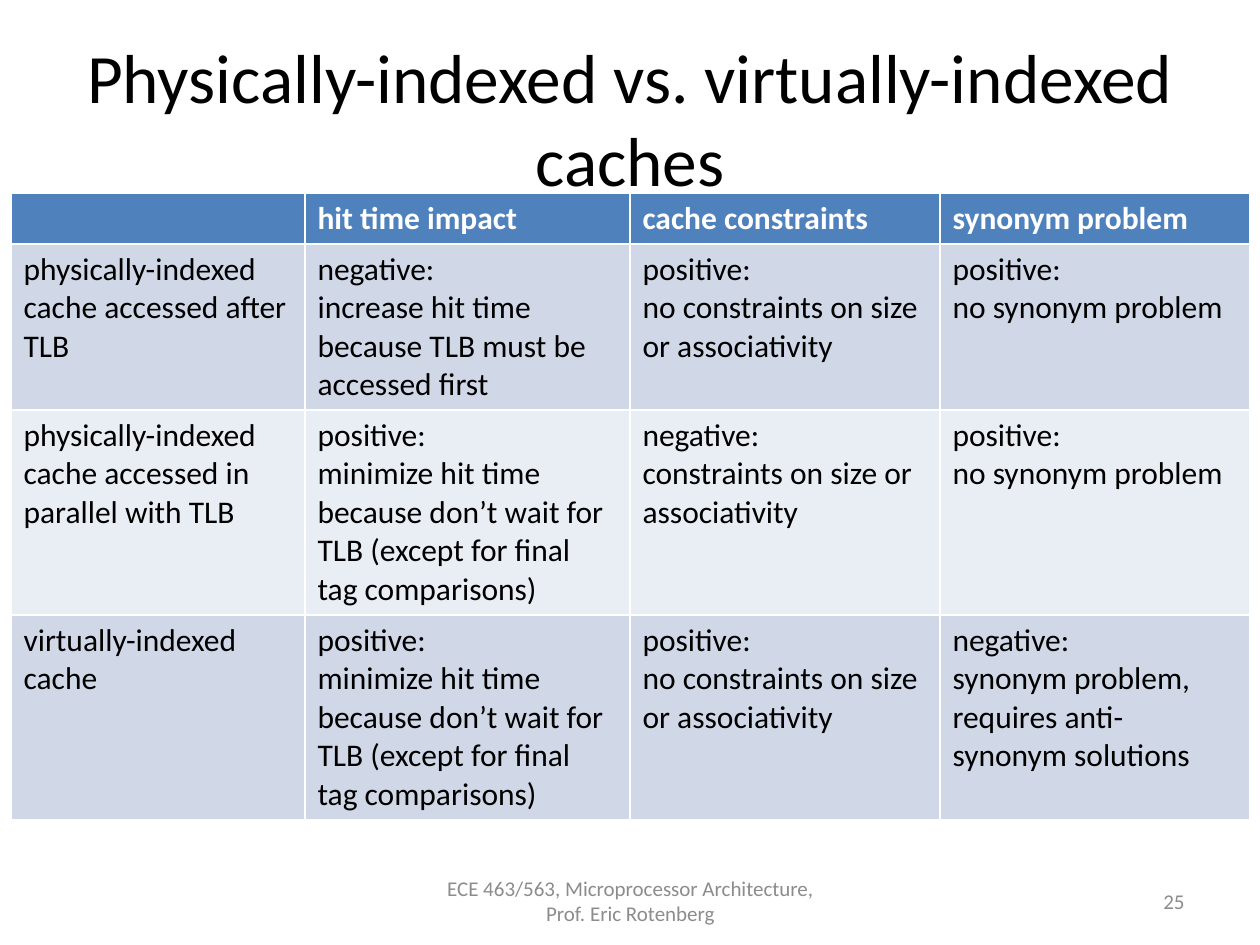
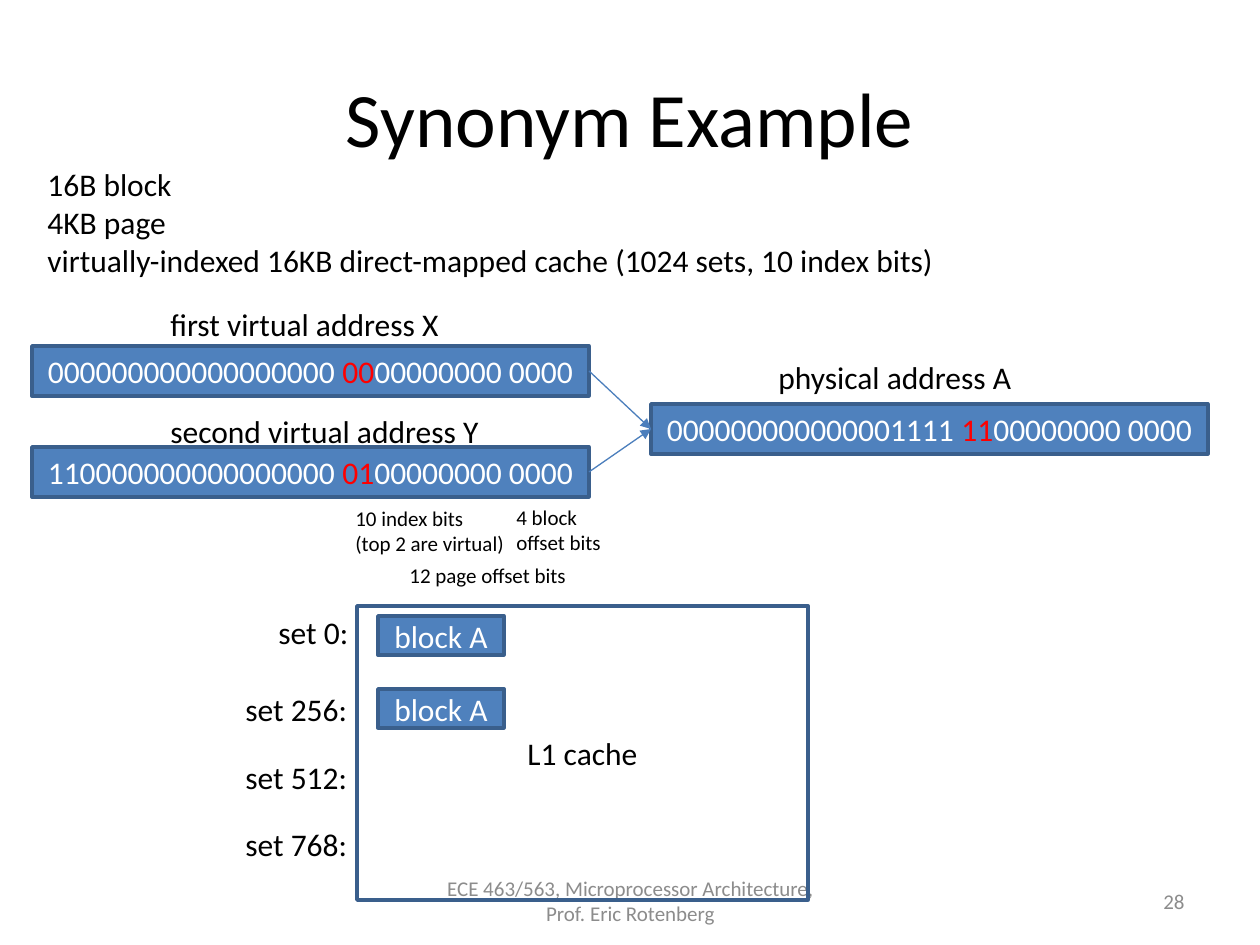
"""Build two lecture slides on virtually-indexed caches and synonyms."""
from lxml import etree
from pptx import Presentation
from pptx import util as u
from pptx.dml.color import RGBColor
from pptx.enum import shapes, text
from pptx.oxml.ns import qn

BLACK = RGBColor(0x00, 0x00, 0x00)
WHITE = RGBColor(0xFF, 0xFF, 0xFF)
RED = RGBColor(0xFF, 0x00, 0x00)
GRAY = RGBColor(0x8C, 0x8C, 0x8C)
BLUE = RGBColor(0x4F, 0x81, 0xBD)
EDGE = RGBColor(0x3A, 0x5F, 0x8C)
ARROW = RGBColor(0x4B, 0x7E, 0xBC)
BANDS = (RGBColor(0xD0, 0xD8, 0xE8), RGBColor(0xE9, 0xED, 0xF4))

FONT = "Calibri"
PX_PER_INCH = 126
LEFT, CENTER, RIGHT = text.PP_ALIGN.LEFT, text.PP_ALIGN.CENTER, text.PP_ALIGN.RIGHT
TOP, MIDDLE = text.MSO_ANCHOR.TOP, text.MSO_ANCHOR.MIDDLE

FOOTER = "ECE 463/563, Microprocessor Architecture, Prof. Eric Rotenberg"
TITLE_AREA = (63, 38, 1134, 158)
FOOTER_AREA = (431, 876, 399, 50)
NUMBER_AREA = (903, 876, 294, 50)

NO_WAIT = ["positive:", "minimize hit time because don’t wait for TLB "
           "(except for final tag comparisons)"]
UNCONSTRAINED = ["positive:", "no constraints on size or associativity"]
NO_SYNONYM = ["positive:", "no synonym problem"]
COMPARISON = [
    [[], ["hit time impact"], ["cache constraints"], ["synonym problem"]],
    [["physically-indexed cache accessed after TLB"],
     ["negative:", "increase hit time because TLB must be accessed first"],
     UNCONSTRAINED, NO_SYNONYM],
    [["physically-indexed cache accessed in parallel with TLB"], NO_WAIT,
     ["negative:", "constraints on size or associativity"], NO_SYNONYM],
    [["virtually-indexed cache"], NO_WAIT, UNCONSTRAINED,
     ["negative:", "synonym problem, requires anti-synonym solutions"]],
]
TABLE_CORNER = (11, 193)
COLUMN_WIDTHS = (294, 325, 310, 310)
ROW_HEIGHTS = (51, 166, 205, 205)

ADDRESS_SIZE = (557, 50)
PAGE_OFFSET_REST = "00000000 0000"
ADDRESSES = {
    "X": (32, 346, "000000000000000000 ", "00"),
    "Y": (32, 447, "110000000000000000 ", "01"),
    "A": (651, 404, "000000000000001111 ", "11"),
}
TRANSLATIONS = [("X", "A"), ("Y", "A")]
LABELS = [
    ((158, 299, 296, 50), ["first virtual address X"]),
    ((158, 406, 338, 50), ["second virtual address Y"]),
    ((766, 352, 266, 50), ["physical address A"]),
    ((35, 159, 924, 127), ["16B block", "4KB page",
                           "virtually-indexed 16KB direct-mapped cache "
                           "(1024 sets, 10 index bits)"]),
]
BIT_NOTES = [
    ((504, 498, 111, 63), ["4 block", "offset bits"]),
    ((343, 499, 175, 63), ["10 index bits", "(top 2 are virtual)"]),
    ((397, 556, 185, 38), ["12 page offset bits"]),
]
CACHE_AREA = (357, 606, 451, 294)
SETS_RIGHT = 362
SETS = [("set 0:", 607, 96), ("set 256:", 684, 129),
        ("set 512:", 752, 129), ("set 768:", 819, 129)]
BLOCK_TOPS = (616, 689)


def px(*lengths):
    return [u.Emu(round(n * 914400 / PX_PER_INCH)) for n in lengths]


def put(frame, paragraphs, size=18, color=BLACK, bold=False, align=LEFT,
        anchor=TOP, wrap=True):
    """Write paragraphs, each a string or a list of (string, colour) runs."""
    frame.word_wrap = wrap
    frame.vertical_anchor = anchor
    for i, content in enumerate(paragraphs):
        paragraph = frame.paragraphs[0] if i == 0 else frame.add_paragraph()
        paragraph.alignment = align
        runs = [(content, color)] if isinstance(content, str) else content
        for words, run_color in runs:
            run = paragraph.add_run()
            run.text = words
            run.font.name, run.font.size, run.font.bold = FONT, u.Pt(size), bold
            run.font.color.rgb = run_color


def add_label(slide, area, paragraphs, **style):
    put(slide.shapes.add_textbox(*px(*area)).text_frame, paragraphs, **style)


def add_box(slide, area, paragraphs, fill=BLUE, color=WHITE):
    box = slide.shapes.add_shape(shapes.MSO_SHAPE.RECTANGLE, *px(*area))
    box.shadow.inherit = False
    if fill is None:
        box.fill.background()
    else:
        box.fill.solid()
        box.fill.fore_color.rgb = fill
    box.line.color.rgb = EDGE
    box.line.width = u.Pt(2)
    put(box.text_frame, paragraphs, color=color, align=CENTER, anchor=MIDDLE)
    return box


def add_arrow(slide, source, target):
    arrow = slide.shapes.add_connector(shapes.MSO_CONNECTOR.STRAIGHT, 0, 0, 0, 0)
    arrow.begin_connect(source, 3)
    arrow.end_connect(target, 1)
    arrow.line.color.rgb = ARROW
    arrow.line.width = u.Pt(0.75)
    etree.SubElement(arrow.line._get_or_add_ln(), qn("a:tailEnd"), type="triangle")
    etree.SubElement(arrow._element.spPr, qn("a:effectLst"))


def add_slide(deck, title, number, title_size):
    slide = deck.slides.add_slide(deck.slide_layouts[6])
    add_label(slide, TITLE_AREA, [title], size=title_size, align=CENTER, anchor=MIDDLE)
    for area, words, align in ((FOOTER_AREA, FOOTER, CENTER),
                               (NUMBER_AREA, str(number), RIGHT)):
        add_label(slide, area, [words], size=12, color=GRAY, align=align, anchor=MIDDLE)
    return slide


def add_comparison(slide):
    area = (*TABLE_CORNER, sum(COLUMN_WIDTHS), sum(ROW_HEIGHTS))
    table = slide.shapes.add_table(len(ROW_HEIGHTS), len(COLUMN_WIDTHS), *px(*area)).table
    for column, width in zip(table.columns, px(*COLUMN_WIDTHS)):
        column.width = width
    for r, (row, height) in enumerate(zip(table.rows, px(*ROW_HEIGHTS))):
        row.height = height
        header = r == 0
        for cell, paragraphs in zip(row.cells, COMPARISON[r]):
            cell.fill.solid()
            cell.fill.fore_color.rgb = BLUE if header else BANDS[(r - 1) % 2]
            put(cell.text_frame, paragraphs, bold=header,
                color=WHITE if header else BLACK)


def add_synonym_example(slide):
    addresses = {}
    for name, (left, top, page, virtual_bits) in ADDRESSES.items():
        bits = [(page, WHITE), (virtual_bits, RED), (PAGE_OFFSET_REST, WHITE)]
        addresses[name] = add_box(slide, (left, top, *ADDRESS_SIZE), [bits])
    for area, words in LABELS:
        add_label(slide, area, words, wrap=False)
    add_box(slide, CACHE_AREA, ["L1 cache"], fill=None, color=BLACK)
    for name, top, width in SETS:
        add_label(slide, (SETS_RIGHT - width, top, width, 50), [name], wrap=False)
    for top in BLOCK_TOPS:
        add_box(slide, (378, top, 126, 39), ["block A"])
    for source, target in TRANSLATIONS:
        add_arrow(slide, addresses[source], addresses[target])
    for area, words in BIT_NOTES:
        add_label(slide, area, words, size=12, wrap=False)


def main():
    deck = Presentation()
    deck.slide_width, deck.slide_height = px(1260, 945)
    add_comparison(add_slide(
        deck, "Physically-indexed vs. virtually-indexed caches", 25, 39.6))
    add_synonym_example(add_slide(deck, "Synonym Example", 28, 44))
    deck.save("out.pptx")


if __name__ == "__main__":
    main()
